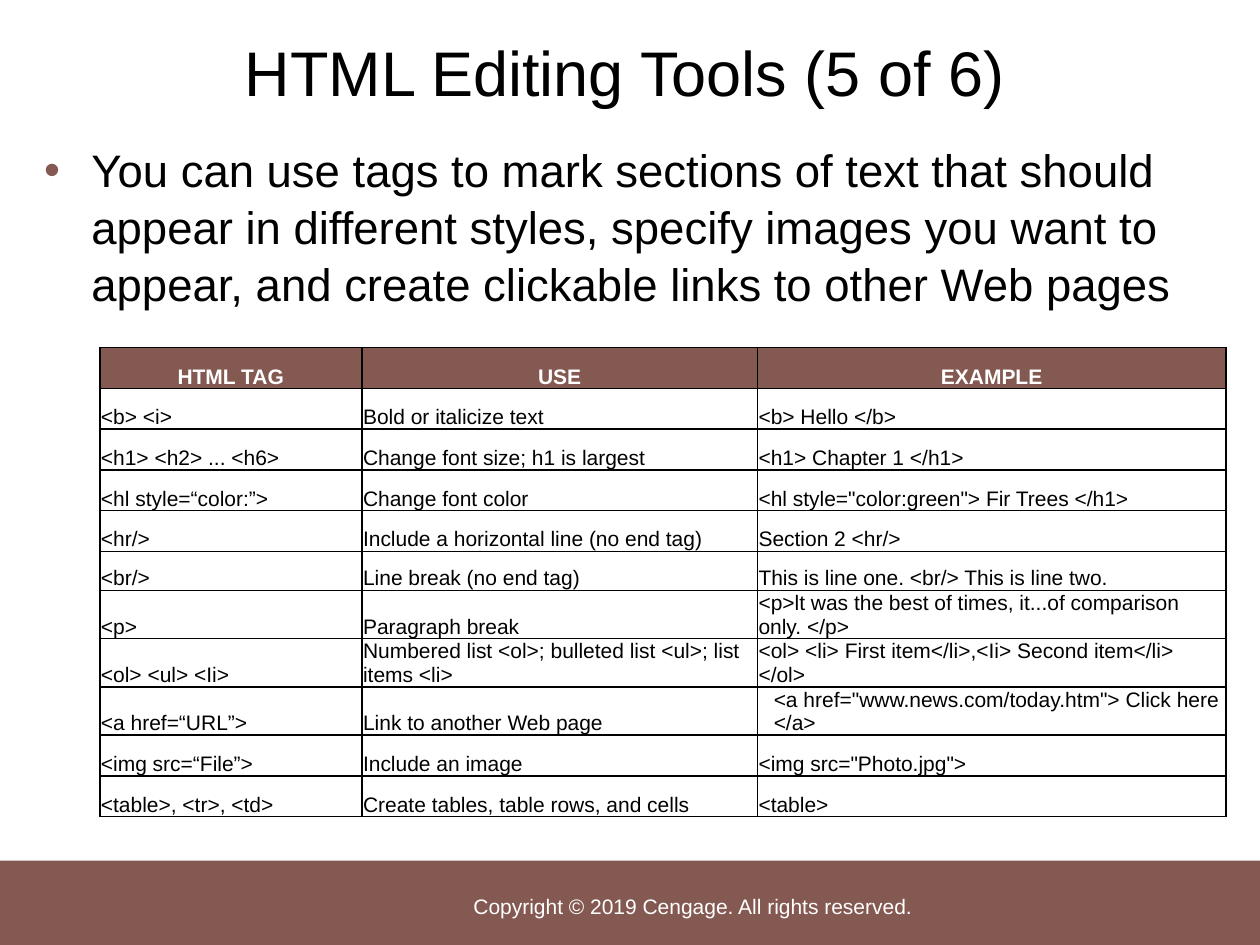
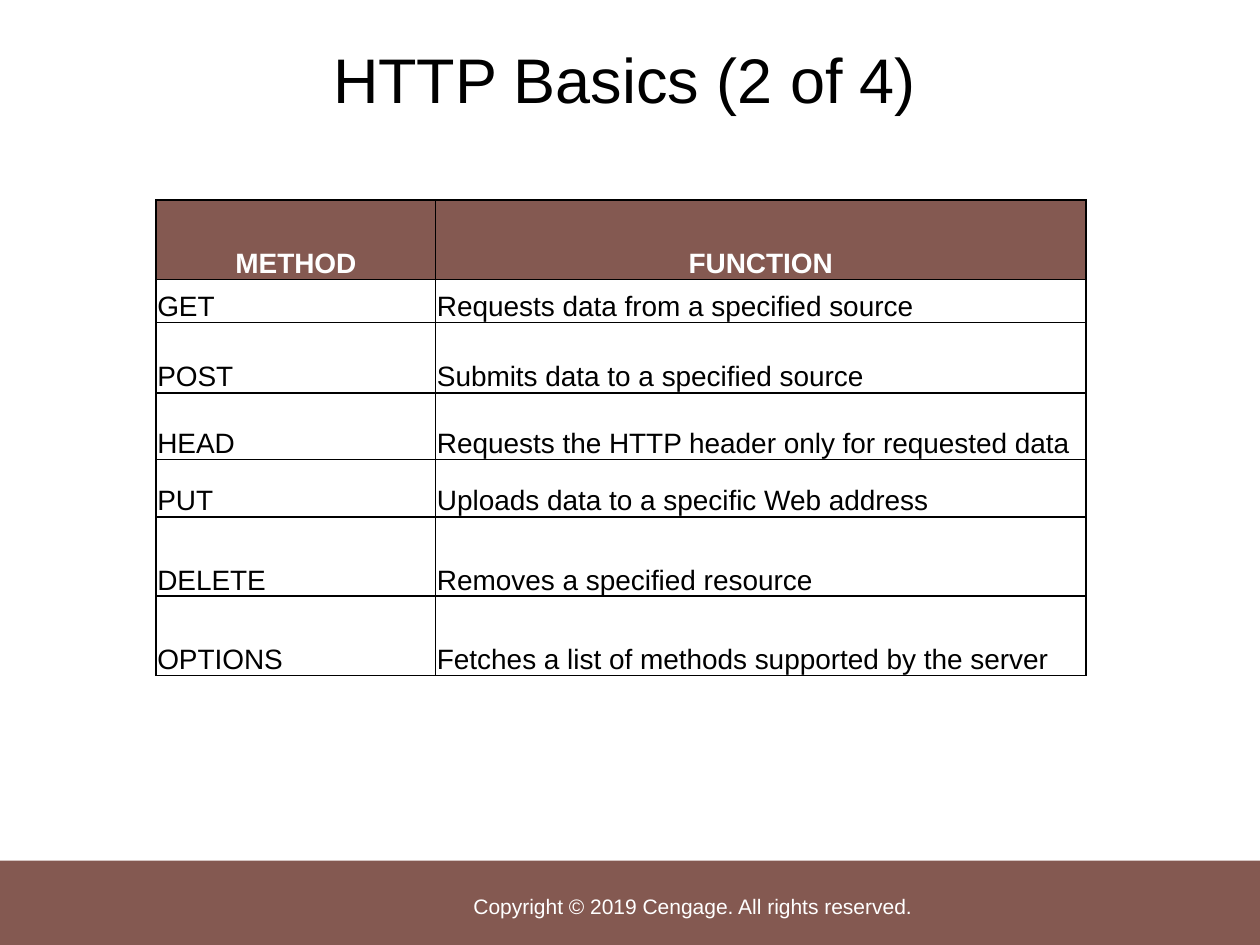
from lxml import etree
from pptx import Presentation
from pptx.dml.color import RGBColor
from pptx.enum.shapes import MSO_SHAPE
from pptx.enum.text import MSO_ANCHOR, MSO_AUTO_SIZE, PP_ALIGN
from pptx.oxml.ns import qn
from pptx.util import Pt

RECT = MSO_SHAPE.RECTANGLE
LEFT, CENTER = PP_ALIGN.LEFT, PP_ALIGN.CENTER
TOP, MIDDLE, BOTTOM = MSO_ANCHOR.TOP, MSO_ANCHOR.MIDDLE, MSO_ANCHOR.BOTTOM
FIXED = MSO_AUTO_SIZE.NONE

BROWN, BLACK, WHITE = "845951", "000000", "FFFFFF"
FONT = "Arial"
NOTICE = "Copyright © 2019 Cengage. All rights reserved."

TAGS = [
    ("HTML TAG", "USE", "EXAMPLE"),
    ("<b> <i>", "Bold or italicize text", "<b> Hello </b>"),
    ("<h1> <h2> ... <h6>", "Change font size; h1 is largest", "<h1> Chapter 1 </h1>"),
    ("<hl style=“color:”>", "Change font color",
     '<hl style="color:green"> Fir Trees </h1>'),
    ("<hr/>", "Include a horizontal line (no end tag)", "Section 2 <hr/>"),
    ("<br/>", "Line break (no end tag)", "This is line one. <br/> This is line two."),
    ("<p>", "Paragraph break",
     "<p>lt was the best of times, it...of comparison only. </p>"),
    ("<ol> <ul> <Ii>", "Numbered list <ol>; bulleted list <ul>; list items <li>",
     "<ol> <li> First item</li>,<Ii> Second item</li> </ol>"),
    ("<a href=“URL”>", "Link to another Web page",
     '<a href="www.news.com/today.htm"> Click here </a>'),
    ("<img src=“File”>", "Include an image", '<img src="Photo.jpg">'),
    ("<table>, <tr>, <td>", "Create tables, table rows, and cells", "<table>"),
]
METHODS = [
    ("METHOD", "FUNCTION"),
    ("GET", "Requests data from a specified source"),
    ("POST", "Submits data to a specified source"),
    ("HEAD", "Requests the HTTP header only for requested data"),
    ("PUT", "Uploads data to a specific Web address"),
    ("DELETE", "Removes a specified resource"),
    ("OPTIONS", "Fetches a list of methods supported by the server"),
]


def color(code):
    return RGBColor.from_string(code)


def place(shape, box):
    shape.left, shape.top, shape.width, shape.height = map(Pt, box)


def write(frame, text, size=12, ink=BLACK, bold=False, align=LEFT):
    """Put one formatted paragraph in the frame and return it."""
    para = frame.paragraphs[0]
    run = para.add_run()
    run.text = text
    para.alignment = align
    font = run.font
    font.name, font.size, font.bold = FONT, Pt(size), bold
    font.color.rgb = color(ink)
    return para


def bullet(para, indent):
    props = para._p.get_or_add_pPr()
    props.set("marL", str(Pt(indent)))
    props.set("indent", str(-Pt(indent)))
    tint = etree.SubElement(props, qn("a:buClr"))
    etree.SubElement(tint, qn("a:srgbClr"), val=BROWN)
    etree.SubElement(props, qn("a:buFont"), typeface=FONT)
    etree.SubElement(props, qn("a:buChar"), char="•")


def border(cell):
    """Draw a thin black line on all four sides; call before filling."""
    props = cell._tc.get_or_add_tcPr()
    for side in ("lnL", "lnR", "lnT", "lnB"):
        line = etree.SubElement(props, qn("a:" + side), w=str(Pt(1)))
        fill = etree.SubElement(line, qn("a:solidFill"))
        etree.SubElement(fill, qn("a:srgbClr"), val=BLACK)


class Deck:
    """The shared style and the slide being built."""

    def __init__(self):
        self.show = Presentation()
        self.show.slide_width, self.show.slide_height = Pt(720), Pt(540)
        self.slide = None

    def start(self, title, top, layout):
        self.slide = self.show.slides.add_slide(self.show.slide_layouts[layout])
        self.slide.background.fill.solid()
        self.slide.background.fill.fore_color.rgb = color(WHITE)
        self.band((-0.5, 491.8, 721, 48.7))
        frame = self.band((120, 504, 552, 27.4)).text_frame
        frame.margin_left = frame.margin_right = 0
        frame.margin_top = frame.margin_bottom = 0
        frame.vertical_anchor = MIDDLE
        write(frame, NOTICE, ink=WHITE, align=CENTER)
        head = self.slide.shapes.title
        place(head, (41, top, 632, 61))
        head.text_frame.vertical_anchor = MIDDLE
        head.text_frame.auto_size = FIXED
        write(head.text_frame, title, size=36, align=CENTER)

    def band(self, box):
        shape = self.slide.shapes.add_shape(RECT, *map(Pt, box))
        shape.shadow.inherit = False
        shape.fill.solid()
        shape.fill.fore_color.rgb = color(BROWN)
        shape.line.fill.background()
        return shape

    def body(self, text, box):
        holder = self.slide.placeholders[1]
        place(holder, box)
        frame = holder.text_frame
        frame.auto_size, frame.vertical_anchor = FIXED, TOP
        para = write(frame, text, size=26)
        para.space_before = Pt(0)
        para.line_spacing = 1.04
        bullet(para, 27)

    def table(self, data, spot, wide, high, size):
        """Lay out rows of text under a brown header and return the table."""
        box = (*spot, sum(wide), sum(high))
        grid = self.slide.shapes.add_table(len(data), len(wide), *map(Pt, box)).table
        grid.horz_banding = False
        for col, width in zip(grid.columns, wide):
            col.width = Pt(width)
        for r, (row, height) in enumerate(zip(data, high)):
            grid.rows[r].height = Pt(height)
            for c, text in enumerate(row):
                self.cell(grid.cell(r, c), text, size, head=r == 0)
        return grid

    def cell(self, cell, text, size, head):
        cell.margin_left = cell.margin_right = cell.margin_top = Pt(0.7)
        cell.margin_bottom = 0
        cell.vertical_anchor = BOTTOM
        border(cell)
        if head:
            cell.fill.solid()
            cell.fill.fore_color.rgb = color(BROWN)
            write(cell.text_frame, text, size, WHITE, True, CENTER)
        else:
            cell.fill.background()
            write(cell.text_frame, text, size)


def main():
    deck = Deck()

    deck.start("HTML Editing Tools (5 of 6)", top=10, layout=1)
    deck.body("You can use tags to mark sections of text that should appear in "
              "different styles, specify images you want to appear, and create "
              "clickable links to other Web pages", (18, 76.3, 679, 101.5))
    high = [23.3] * len(TAGS)
    high[5] = 22.3
    grid = deck.table(TAGS, (57, 198.7), (149.8, 226, 267.8), high, size=12)
    grid.cell(8, 2).margin_left = Pt(9.4)

    deck.start("HTTP Basics (2 of 4)", top=14.4, layout=5)
    deck.table(METHODS, (89.2, 114.3), (159.8, 371.5),
               (45.4, 24.5, 40.3, 38, 32.9, 45.4, 45.4), size=16)

    deck.show.save("out.pptx")


if __name__ == "__main__":
    main()
